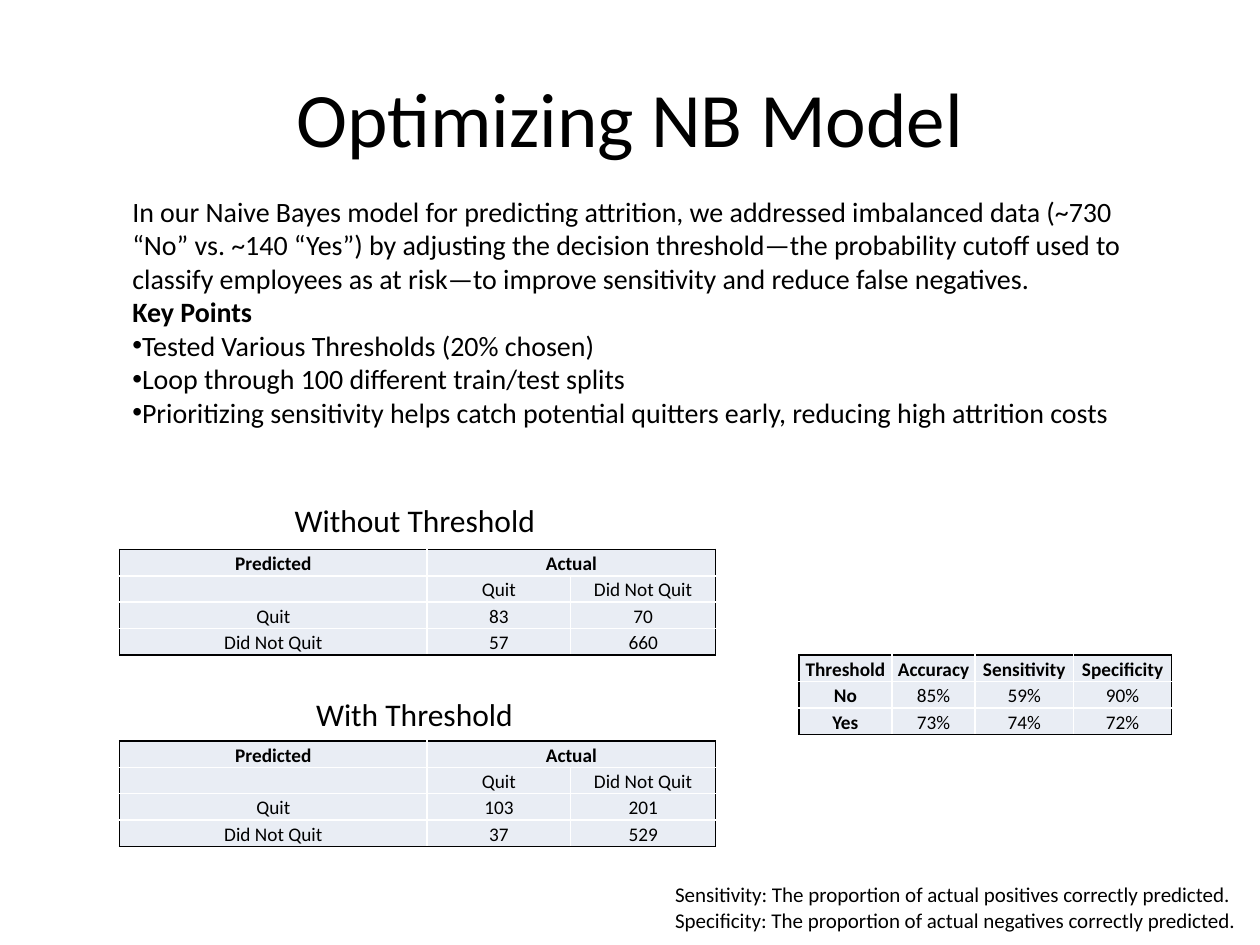
from dataclasses import dataclass

from lxml import etree
from pptx import Presentation
from pptx.dml.color import RGBColor
from pptx.enum import text
from pptx.oxml import ns
from pptx.util import Inches, Pt


@dataclass(frozen=True)
class Theme:
    font: str = "Calibri"
    ink: str = "000000"
    grid: str = "FFFFFF"
    cell: str = "E9EDF4"
    title: int = 44
    heading: int = 18
    body: int = 16
    note: int = 12
    table: int = 11


class SlideBuilder:
    def __init__(self, page, theme):
        self.page = page
        self.theme = theme

    def place(self, shape, box):
        for name, value in zip(("left", "top", "width", "height"), box):
            setattr(shape, name, Inches(value))

    def add_words(self, para, words, size, bold=False, align=text.PP_ALIGN.LEFT):
        formats = {"alignment": align, "space_before": Pt(0)}
        for name, value in formats.items():
            setattr(para, name, value)
        span = para.add_run()
        span.text = words
        formats = {"name": self.theme.font, "size": Pt(size), "bold": bold}
        for name, value in formats.items():
            setattr(span.font, name, value)
        span.font.color.rgb = RGBColor.from_string(self.theme.ink)

    def bullet(self, para, mark):
        props = para._p.get_or_add_pPr()
        props.set("marL", "0")
        props.set("indent", "0")
        if mark:
            etree.SubElement(props, ns.qn("a:buFont")).set("typeface", "Arial")
            etree.SubElement(props, ns.qn("a:buChar")).set("char", mark)
        else:
            etree.SubElement(props, ns.qn("a:buNone"))

    def title(self, words, box):
        shape = self.page.shapes.title
        self.place(shape, box)
        self.add_words(shape.text_frame.paragraphs[0], words, self.theme.title,
                       align=text.PP_ALIGN.CENTER)

    def paragraphs(self, frame, count):
        frame.word_wrap = True
        frame.auto_size = text.MSO_AUTO_SIZE.SHAPE_TO_FIT_TEXT
        return [frame.paragraphs[0]] + [frame.add_paragraph() for _ in range(count - 1)]

    def body(self, items, box):
        shape = self.page.placeholders[1]
        self.place(shape, box)
        paras = self.paragraphs(shape.text_frame, len(items))
        for para, (words, bold, mark) in zip(paras, items):
            self.add_words(para, words, self.theme.body, bold)
            self.bullet(para, mark)

    def label(self, lines, box, size):
        shape = self.page.shapes.add_textbox(*map(Inches, box))
        for para, words in zip(self.paragraphs(shape.text_frame, len(lines)), lines):
            self.add_words(para, words, size)

    def borders(self, cell, outer):
        props = cell._tc.get_or_add_tcPr()
        for side in "LRTB":
            line = etree.SubElement(props, ns.qn(f"a:ln{side}"), w=str(Pt(1)))
            fill = etree.SubElement(line, ns.qn("a:solidFill"))
            color = self.theme.ink if side in outer else self.theme.grid
            etree.SubElement(fill, ns.qn("a:srgbClr")).set("val", color)

    def table(self, rows, left, top, widths, row_height, merged=None, bold_first=False):
        shape = self.page.shapes.add_table(
            len(rows), len(widths), Inches(left), Inches(top),
            Inches(sum(widths)), Inches(row_height * len(rows)))
        grid = shape.table
        grid.first_row = grid.horz_banding = False
        for column, width in zip(grid.columns, widths):
            column.width = Inches(width)
        for row in grid.rows:
            row.height = Inches(row_height)
        if merged:
            first, last = merged
            grid.cell(*first).merge(grid.cell(*last))
        for r, row in enumerate(rows):
            for c, words in enumerate(row):
                cell = grid.cell(r, c)
                span = cell.span_width if cell.is_merge_origin else 1
                edges = {"L": c == 0, "R": c + span == len(widths),
                         "T": r == 0, "B": r == len(rows) - 1}
                self.borders(cell, [side for side, on in edges.items() if on])
                cell.fill.solid()
                cell.fill.fore_color.rgb = RGBColor.from_string(self.theme.cell)
                formats = {"margin_left": Inches(0.01), "margin_right": Inches(0.01),
                           "margin_top": Inches(0.01), "margin_bottom": 0,
                           "vertical_anchor": text.MSO_ANCHOR.BOTTOM}
                for name, value in formats.items():
                    setattr(cell, name, value)
                para = cell.text_frame.paragraphs[0]
                if words:
                    self.add_words(para, words, self.theme.table,
                                   r == 0 or (bold_first and c == 0),
                                   text.PP_ALIGN.CENTER)
                else:
                    end = etree.SubElement(para._p, ns.qn("a:endParaRPr"))
                    end.set("sz", str(self.theme.table * 100))


def main():
    deck = Presentation()
    deck.slide_width, deck.slide_height = Inches(10), Inches(7.5)
    theme = Theme()
    builder = SlideBuilder(deck.slides.add_slide(deck.slide_layouts[1]), theme)

    builder.title("Optimizing NB Model", (0.5, 0.3, 9, 1.25))
    builder.body([
        ("In our Naive Bayes model for predicting attrition, we addressed imbalanced data "
         "(~730 “No” vs. ~140 “Yes”) by adjusting the decision threshold—the probability "
         "cutoff used to classify employees as at risk—to improve sensitivity and reduce "
         "false negatives.", False, None),
        ("Key Points", True, None),
        ("Tested Various Thresholds (20% chosen)", False, "•"),
        ("Loop through 100 different train/test splits", False, "•"),
        ("Prioritizing sensitivity helps catch potential quitters early, "
         "reducing high attrition costs", False, "•"),
    ], (0.95, 1.49, 8.09, 1.99))

    row_height = 0.21
    matrices = [
        ("Without Threshold", (2.24, 3.93, 2.2, 0.4), 4.36, ("83", "70"), ("57", "660")),
        ("With Threshold", (2.41, 5.47, 1.81, 0.4), 5.88, ("103", "201"), ("37", "529")),
    ]
    for heading, box, top, quit_counts, stay_counts in matrices:
        builder.label([heading], box, theme.heading)
        rows = [("Predicted", "Actual", ""), ("", "Quit", "Did Not Quit"),
                ("Quit", *quit_counts), ("Did Not Quit", *stay_counts)]
        builder.table(rows, 0.95, top, (2.44, 1.14, 1.15), row_height,
                      merged=((0, 1), (0, 2)))

    builder.table([
        ("Threshold", "Accuracy", "Sensitivity", "Specificity"),
        ("No", "85%", "59%", "90%"),
        ("Yes", "73%", "74%", "72%"),
    ], 6.34, 5.2, (0.74, 0.66, 0.78, 0.78), row_height, bold_first=True)

    builder.label([
        "Sensitivity: The proportion of actual positives correctly predicted.",
        "Specificity: The proportion of actual negatives correctly predicted.",
    ], (5.26, 6.95, 4.74, 0.5), theme.note)
    deck.save("out.pptx")


if __name__ == "__main__":
    main()
